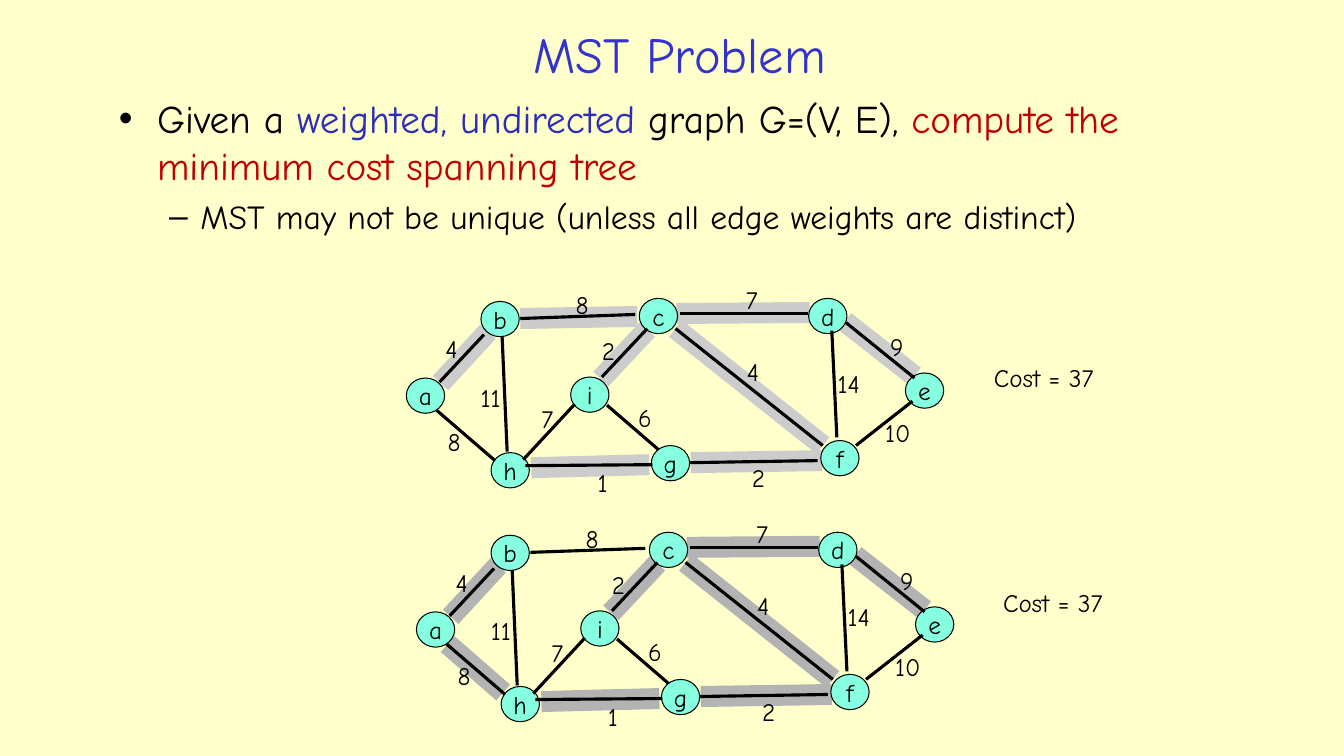
from lxml import etree
from pptx import Presentation
from pptx import util as u
from pptx.dml.color import RGBColor
from pptx.enum import shapes, text
from pptx.oxml.ns import qn

FONT = "Comic Neue"
COLORS = {
    "background": "FFFFCC", "title": "3333CC", "blue": "2D2DB9", "red": "C00000",
    "black": "000000", "node": "85FFE0", "light": "CCCCCC", "dark": "B3B3B3",
}

presentation = Presentation()
presentation.slide_width = u.Inches(13.33)
presentation.slide_height = u.Inches(7.5)
slide = presentation.slides.add_slide(presentation.slide_layouts[5])
slide.background.fill.solid()
slide.background.fill.fore_color.rgb = RGBColor.from_string(COLORS["background"])


def write(shape, *runs, size=18, align=text.PP_ALIGN.LEFT, anchor=text.MSO_ANCHOR.TOP,
          wrap=False, fit=text.MSO_AUTO_SIZE.NONE, new_paragraph=False):
    """Write (wording, color) runs into a shape and return their paragraph."""
    frame = shape.text_frame
    frame.word_wrap, frame.auto_size, frame.vertical_anchor = wrap, fit, anchor
    paragraph = frame.add_paragraph() if new_paragraph else frame.paragraphs[0]
    paragraph.alignment = align
    for wording, color in runs:
        run = paragraph.add_run()
        run.text = wording
        run.font.name, run.font.size = FONT, u.Pt(size)
        run.font.color.rgb = RGBColor.from_string(COLORS[color])
    return paragraph


def draw_line(ends, color, width, dx, dy):
    x1, y1, x2, y2 = ends
    line = slide.shapes.add_connector(
        shapes.MSO_CONNECTOR.STRAIGHT, u.Inches(x1 + dx), u.Inches(y1 + dy),
        u.Inches(x2 + dx), u.Inches(y2 + dy))
    line.line.color.rgb = RGBColor.from_string(COLORS[color])
    line.line.width = u.Pt(width)
    etree.SubElement(line._element.spPr, qn("a:effectLst"))


# Title
title = slide.shapes.title
title.left, title.top, title.width, title.height = map(u.Inches, (1.97, 0.15, 9.54, 0.76))
write(title, ("MST Problem", "title"), size=36, wrap=True,
      align=text.PP_ALIGN.CENTER, anchor=text.MSO_ANCHOR.MIDDLE)

# Problem statement, with a bullet and a dash
statement = slide.shapes.add_textbox(*map(u.Inches, (1.08, 0.89, 10.96, 1.8)))
problem = write(statement, ("Given a ", "black"), ("weighted, undirected ", "blue"),
                ("graph G=(V, E), ", "black"),
                ("compute the minimum cost spanning tree", "red"), size=28, wrap=True)
remark = write(statement,
               ("MST may not be unique (unless all edge weights are distinct)", "black"),
               size=24, wrap=True, new_paragraph=True)
remark.level = 1
for paragraph, bullet, margin, hanging, gap in (
        (problem, "•", 0.38, 0.38, 5.6), (remark, "–", 0.81, 0.31, 4.8)):
    paragraph.space_before = u.Pt(gap)
    properties = paragraph._p.get_or_add_pPr()
    properties.set("marL", str(u.Inches(margin)))
    properties.set("indent", str(-u.Inches(hanging)))
    etree.SubElement(properties, qn("a:buFont")).set("typeface", "Arial")
    etree.SubElement(properties, qn("a:buChar")).set("char", bullet)

# Graph: left and top of each node
NODE_SIZE = (0.38, 0.35)
nodes = {
    "a": (4.03, 3.75), "b": (4.77, 2.99), "c": (6.34, 2.96),
    "h": (4.87, 4.49), "g": (6.46, 4.42), "f": (8.14, 4.37),
    "d": (8.02, 2.96), "e": (8.98, 3.70), "i": (5.66, 3.74),
}
# Edge: line ends, weight, left and top of its label
edges = {
    "ah": ((4.33, 4.07, 4.91, 4.57), 8, (4.34, 4.18)),
    "ab": ((4.36, 3.79, 4.80, 3.32), 4, (4.32, 3.26)),
    "bh": ((5.03, 4.48, 4.98, 3.34), 11, (4.67, 3.74)),
    "bc": ((6.30, 3.12, 5.16, 3.16), 8, (5.61, 2.82)),
    "cd": ((8.01, 3.11, 6.74, 3.11), 7, (7.30, 2.77)),
    "de": ((9.07, 3.75, 8.39, 3.20), 9, (8.73, 3.24)),
    "gh": ((6.47, 4.61, 5.21, 4.62), 1, (5.83, 4.59)),
    "fg": ((8.11, 4.57, 6.84, 4.59), 2, (7.36, 4.54)),
    "ef": ((8.49, 4.42, 9.05, 3.98), 10, (8.68, 4.09)),
    "df": ((8.30, 4.34, 8.25, 3.28), 14, (8.21, 3.60)),
    "ci": ((5.97, 3.74, 6.42, 3.26), 2, (5.87, 3.28)),
    "hi": ((5.19, 4.56, 5.70, 4.01), 7, (5.27, 3.95)),
    "gi": ((6.02, 4.02, 6.53, 4.46), 6, (6.23, 3.94)),
    "cf": ((6.70, 3.26, 8.16, 4.42), 4, (7.31, 3.49)),
}
# Thick bands under the edges of a spanning tree
bands = {
    "bc": (5.16, 3.16, 6.32, 3.14), "ah": (4.34, 4.07, 4.89, 4.55),
    "ci": (5.96, 3.76, 6.42, 3.27), "fg": (6.85, 4.59, 8.15, 4.57),
    "gh": (5.27, 4.64, 6.44, 4.61), "ab": (4.37, 3.80, 4.84, 3.29),
    "cd": (6.71, 3.11, 8.03, 3.10), "de": (8.38, 3.19, 9.07, 3.73),
    "cf": (6.70, 3.26, 8.16, 4.42),
}

# Both trees: offset, band color, edge left out, place of the cost
for dx, dy, band_color, left_out, cost_place in (
        (0, 0, "light", "ah", (9.76, 3.55)), (0.1, 2.32, "dark", "bc", (9.85, 5.78))):
    for name, ends in bands.items():
        if name != left_out:
            draw_line(ends, band_color, 15, dx, dy)

    for name, (x, y) in nodes.items():
        node = slide.shapes.add_shape(shapes.MSO_SHAPE.OVAL,
                                      *map(u.Inches, (x + dx, y + dy, *NODE_SIZE)))
        node.shadow.inherit = False
        node.fill.solid()
        node.fill.fore_color.rgb = RGBColor.from_string(COLORS["node"])
        node.line.color.rgb = RGBColor.from_string(COLORS["black"])
        node.line.width = u.Pt(0.75)
        write(node, (name, "black"), align=text.PP_ALIGN.CENTER,
              anchor=text.MSO_ANCHOR.MIDDLE)

    for ends, _, _ in edges.values():
        draw_line(ends, "black", 2.25, dx, dy)

    labels = [(str(weight), x + dx, y + dy, 0.35 if weight < 10 else 0.47)
              for _, weight, (x, y) in edges.values()]
    labels.append(("Cost = 37", *cost_place, 1.31))
    for wording, x, y, width in labels:
        label = slide.shapes.add_textbox(*map(u.Inches, (x, y, width, 0.4)))
        write(label, (wording, "black"), fit=text.MSO_AUTO_SIZE.SHAPE_TO_FIT_TEXT)

presentation.save("out.pptx")
